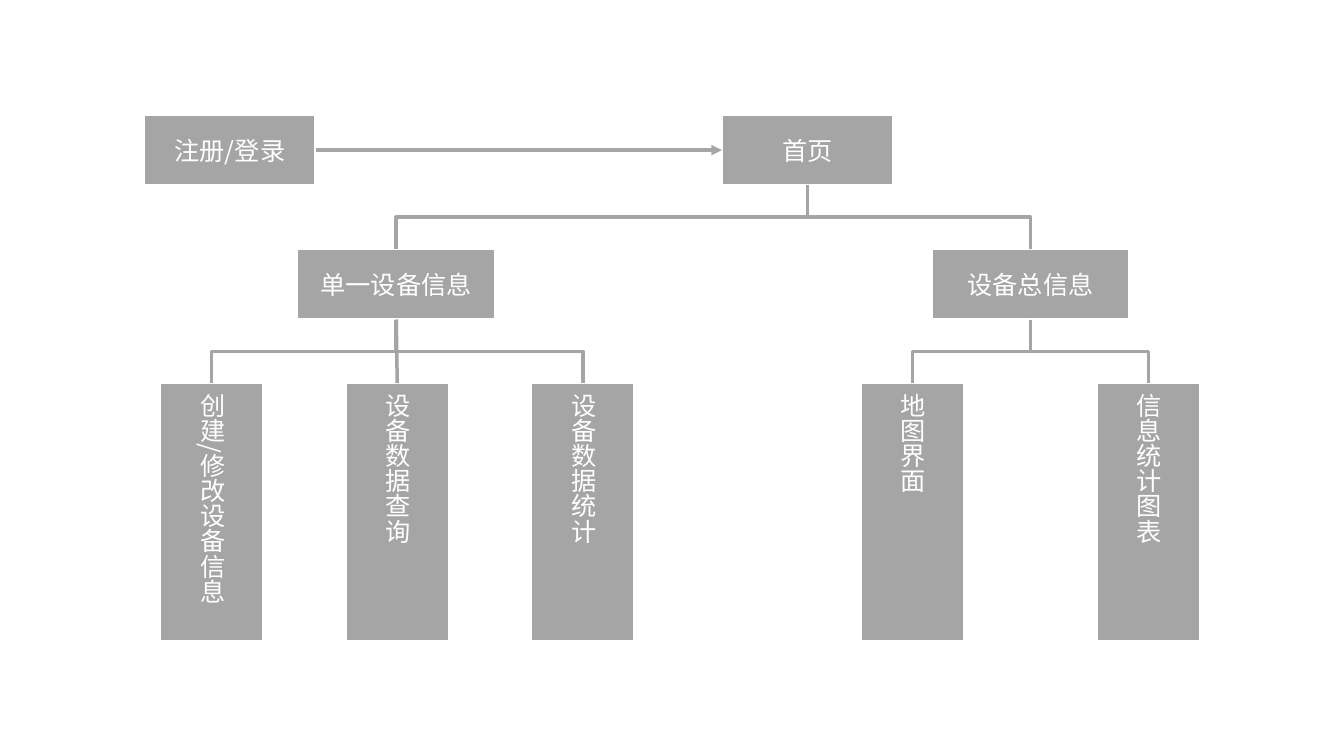
from dataclasses import dataclass

from lxml import etree
from pptx import Presentation
from pptx.dml.color import RGBColor
from pptx.enum import shapes, text
from pptx.oxml import ns
from pptx.util import Inches, Pt

FONT = "Noto Sans CJK SC"
GREY, WHITE = "A5A5A5", "FFFFFF"
TOP, RIGHT, BOTTOM, LEFT = 0, 3, 2, 1  # connection sites of a rectangle


@dataclass(frozen=True)
class Box:
    label: str
    x: float
    y: float
    w: float
    h: float = 0.7
    vertical: bool = False


def page(label: str, x: float) -> Box:
    return Box(label, x, 1.14, 1.7)


def section(label: str, x: float) -> Box:
    return Box(label, x, 2.47, 1.96)


def feature(label: str, x: float) -> Box:
    return Box(label, x, 3.8, 1.02, 2.56, vertical=True)


def color(hex_code: str) -> RGBColor:
    return RGBColor.from_string(hex_code)


def add_box(slide, box: Box):
    s = slide.shapes.add_shape(
        shapes.MSO_SHAPE.RECTANGLE,
        Inches(box.x), Inches(box.y), Inches(box.w), Inches(box.h))
    s.shadow.inherit = False
    s.fill.solid()
    s.fill.fore_color.rgb = color(GREY)
    s.line.color.rgb = color(WHITE)
    s.line.width = Pt(1.5)
    tf = s.text_frame
    tf.word_wrap = True
    tf.vertical_anchor = text.MSO_ANCHOR.MIDDLE
    if box.vertical:
        s.element.txBody.bodyPr.set("vert", "eaVert")
    p = tf.paragraphs[0]
    p.alignment = text.PP_ALIGN.CENTER
    p.font.size = Pt(18)
    p.font.color.rgb = color(WHITE)
    r = p.add_run()
    r.text = box.label
    r.font.name = FONT
    # Chinese characters take the East Asian font
    etree.SubElement(r.font._element, ns.qn("a:ea"), typeface=FONT)
    return s


def add_link(slide, kind, start, start_site: int, end, end_site: int):
    c = slide.shapes.add_connector(kind, 0, 0, 0, 0)
    c.begin_connect(start, start_site)
    c.end_connect(end, end_site)
    c.line.color.rgb = color(GREY)
    c.line.width = Pt(2.5)
    etree.SubElement(c.element.spPr, ns.qn("a:effectLst"))
    return c


def add_arrow(slide, start, end) -> None:
    c = add_link(slide, shapes.MSO_CONNECTOR.STRAIGHT, start, RIGHT, end, LEFT)
    etree.SubElement(c.line._get_or_add_ln(), ns.qn("a:tailEnd"), type="triangle")


def add_branch(slide, parent, child) -> None:
    """Link the bottom of the parent to the top of the child."""
    dx = child.left + child.width // 2 - parent.left - parent.width // 2
    if abs(dx) < Inches(0.05):
        add_link(slide, shapes.MSO_CONNECTOR.STRAIGHT, parent, BOTTOM, child, TOP)
        return
    c = add_link(slide, shapes.MSO_CONNECTOR.ELBOW, parent, BOTTOM, child, TOP)
    # An elbow that leaves downwards is a turned one: swap its sides about the centre
    mid_x, mid_y = c.left + c.width // 2, c.top + c.height // 2
    c.width, c.height = c.height, c.width
    c.left, c.top = mid_x - c.width // 2, mid_y - c.height // 2
    xfrm = c.element.spPr.xfrm
    xfrm.set("rot", str((270 if dx > 0 else 90) * 60000))
    xfrm.set("flipH", "1" if dx > 0 else "0")


LOGIN = page("注册/登录", 1.43)
HOME = page("首页", 7.16)
SITE_MAP = {
    section("单一设备信息", 2.95): [
        feature("创建/修改设备信息", 1.59),
        feature("设备数据查询", 3.43),
        feature("设备数据统计", 5.27),
    ],
    section("设备总信息", 9.24): [
        feature("地图界面", 8.54),
        feature("信息统计图表", 10.88),
    ],
}


def main() -> None:
    prs = Presentation()
    prs.slide_width, prs.slide_height = Inches(13.33), Inches(7.5)
    slide = prs.slides.add_slide(prs.slide_layouts[6])

    # Entry pages
    login, home = add_box(slide, LOGIN), add_box(slide, HOME)
    add_arrow(slide, login, home)

    # Sections and their features
    for section_box, features in SITE_MAP.items():
        parent = add_box(slide, section_box)
        add_branch(slide, home, parent)
        for feature_box in features:
            add_branch(slide, parent, add_box(slide, feature_box))

    prs.save("out.pptx")


if __name__ == "__main__":
    main()
